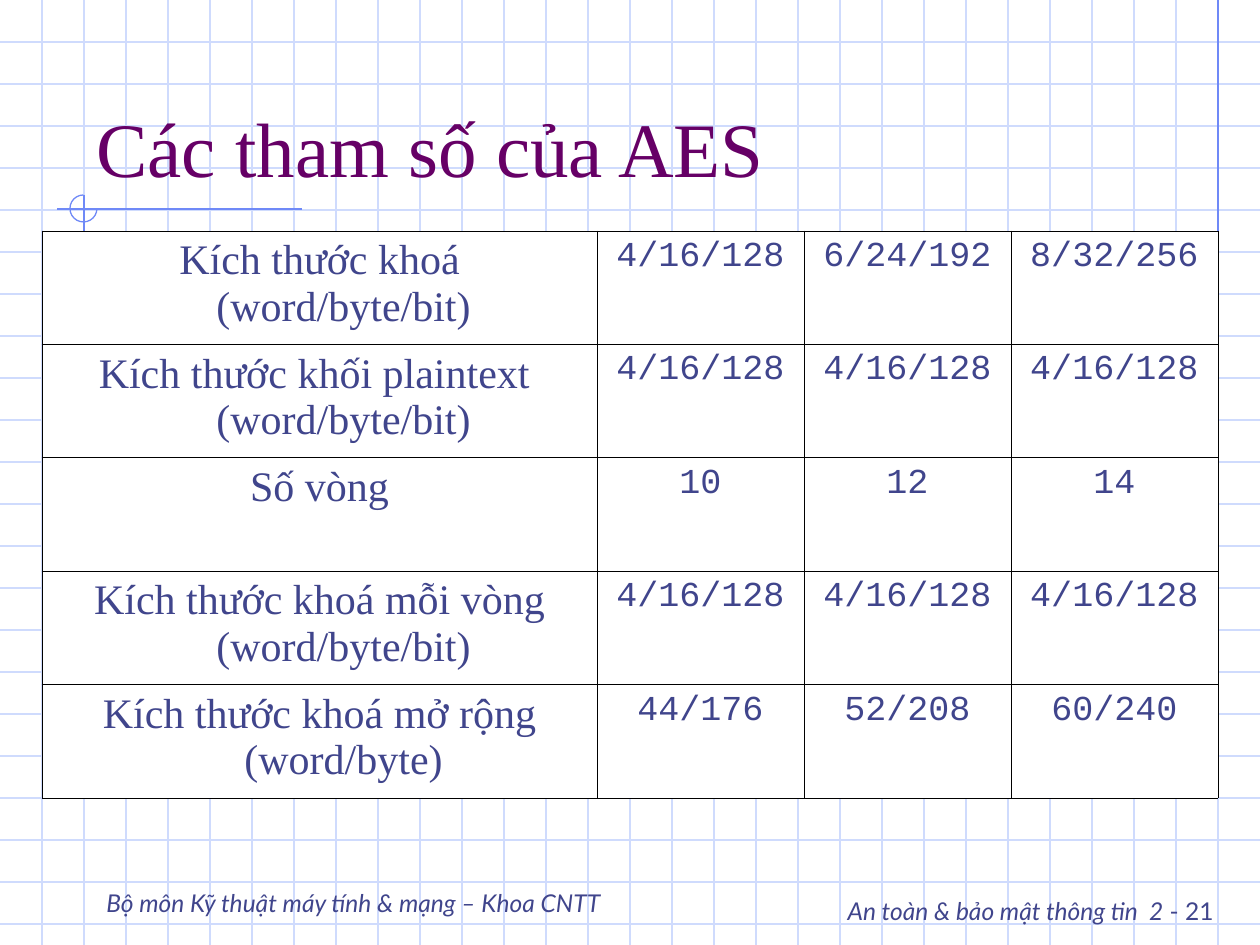
from lxml import etree
from pptx import Presentation
from pptx.dml.color import RGBColor
from pptx.enum.shapes import MSO_CONNECTOR, MSO_SHAPE
from pptx.enum.text import MSO_ANCHOR, MSO_AUTO_SIZE, PP_ALIGN
from pptx.oxml.ns import qn
from pptx.util import Inches, Pt

STRAIGHT = MSO_CONNECTOR.STRAIGHT
ARC = MSO_SHAPE.ARC
TOP, BOTTOM = MSO_ANCHOR.TOP, MSO_ANCHOR.BOTTOM
LEFT, CENTER, RIGHT = PP_ALIGN.LEFT, PP_ALIGN.CENTER, PP_ALIGN.RIGHT
NO_FIT = MSO_AUTO_SIZE.NONE

WHITE = RGBColor(0xFF, 0xFF, 0xFF)
BLACK = RGBColor(0x00, 0x00, 0x00)
GRID = RGBColor(0xCF, 0xDB, 0xFD)
ACCENT = RGBColor(0x6F, 0x89, 0xF7)
INK = RGBColor(0x40, 0x45, 0x8C)
PURPLE = RGBColor(0x66, 0x00, 0x66)

SERIF, MONO, SANS = "Times New Roman", "Courier New", "Lato"
WIDTH, HEIGHT, STEP = 1260, 945, 42
TITLE_ONLY = 5


def px(n):
    """Turn pixels into EMU."""
    return round(n * Inches(1) / 126)


class Slide:
    """Holds the style and the current slide."""

    def __init__(self, prs):
        """Add an empty titled slide with a white background."""
        self.s = prs.slides.add_slide(prs.slide_layouts[TITLE_ONLY])
        self.s.background.fill.solid()
        self.s.background.fill.fore_color.rgb = WHITE

    def group(self):
        """Add an empty group."""
        return self.s.shapes.add_group_shape()

    def stroke(self, sp, color):
        """Give a shape the thin line of the background."""
        sp.line.color.rgb = color
        sp.line.width = Pt(0.74)

    def line(self, group, x1, y1, x2, y2, color):
        """Draw a straight line inside a group."""
        sp = group.shapes.add_connector(STRAIGHT, px(x1), px(y1), px(x2), px(y2))
        self.stroke(sp, color)
        etree.SubElement(sp._element.spPr, qn("a:effectLst"))

    def arc(self, group, x, y, size, start, end):
        """Draw a circular arc between two angles in degrees."""
        sp = group.shapes.add_shape(ARC, px(x), px(y), px(size), px(size))
        sp.adjustments[0] = start * 0.6
        sp.adjustments[1] = end * 0.6
        sp.shadow.inherit = False
        sp.fill.background()
        self.stroke(sp, ACCENT)

    def font(self, r, size, name, color=INK, italic=False):
        """Format one run."""
        r.font.size = Pt(size)
        r.font.name = name
        r.font.color.rgb = color
        r.font.italic = italic

    def title(self, text, x, y, w, h):
        """Fill the title placeholder and bring it to the front."""
        sp = self.s.shapes.title
        sp.left, sp.top, sp.width, sp.height = px(x), px(y), px(w), px(h)
        tf = sp.text_frame
        tf.text = text
        tf.vertical_anchor = BOTTOM
        tf.auto_size = NO_FIT
        p = tf.paragraphs[0]
        p.alignment = LEFT
        self.font(p.runs[0], 44, SERIF, PURPLE)
        sp._element.getparent().append(sp._element)

    def text(self, runs, x, y, w, h, align=LEFT, anchor=TOP):
        """Add a text box from (text, size, italic) runs."""
        tf = self.s.shapes.add_textbox(px(x), px(y), px(w), px(h)).text_frame
        tf.word_wrap = True
        tf.vertical_anchor = anchor
        p = tf.paragraphs[0]
        p.alignment = align
        for text, size, italic in runs:
            r = p.add_run()
            r.text = text
            self.font(r, size, SANS, italic=italic)

    def cell(self, cell, text, size, name):
        """Fill one table cell: hanging indent, white fill, black borders."""
        cell.text = text
        cell.fill.solid()
        cell.fill.fore_color.rgb = WHITE
        p = cell.text_frame.paragraphs[0]
        p.alignment = CENTER
        pPr = p._p.get_or_add_pPr()
        pPr.set("marL", str(px(48)))
        pPr.set("indent", str(-px(48)))
        self.font(p.runs[0], size, name)
        tcPr = cell._tc.get_or_add_tcPr()
        for i, side in enumerate(("lnL", "lnR", "lnT", "lnB")):
            ln = etree.Element(qn("a:" + side), w=str(Pt(0.45)))
            fill = etree.SubElement(ln, qn("a:solidFill"))
            etree.SubElement(fill, qn("a:srgbClr"), val=str(BLACK))
            tcPr.insert(i, ln)

    def table(self, rows, x, y, widths, h):
        """Add a table with equal rows and a serif first column."""
        table = self.s.shapes.add_table(
            len(rows), len(widths), px(x), px(y), px(sum(widths)), px(h)).table
        table.first_row = table.horz_banding = False
        for col, w in zip(table.columns, widths):
            col.width = px(w)
        for i, row in enumerate(rows):
            table.rows[i].height = px(h / len(rows))
            for j, text in enumerate(row):
                size, name = (20, MONO) if j else (24, SERIF)
                self.cell(table.cell(i, j), text, size, name)


BLOCK = "4/16/128"
ROWS = [
    ("Kích thước khoá (word/byte/bit)", BLOCK, "6/24/192", "8/32/256"),
    ("Kích thước khối plaintext  (word/byte/bit)", BLOCK, BLOCK, BLOCK),
    ("Số vòng", "10", "12", "14"),
    ("Kích thước khoá mỗi vòng (word/byte/bit)", BLOCK, BLOCK, BLOCK),
    ("Kích thước khoá mở rộng (word/byte)", "44/176", "52/208", "60/240"),
]


def main():
    """Build the slide and save it."""
    prs = Presentation()
    prs.slide_width, prs.slide_height = px(WIDTH), px(HEIGHT)
    slide = Slide(prs)

    grid = slide.group()
    for y in range(STEP, HEIGHT, STEP):
        slide.line(grid, 0, y, WIDTH, y, GRID)
    for x in range(STEP, WIDTH, STEP):
        slide.line(grid, x, 0, x, HEIGHT, GRID)

    accents = slide.group()
    slide.line(accents, 1218, 0, 1218, 325, ACCENT)
    slide.line(accents, 302, 209, 57, 209, ACCENT)
    slide.line(accents, 84, 195, 84, 515, ACCENT)
    slide.arc(accents, 70, 195, 27, 0, 270)

    slide.text([("An toàn & bảo mật thông tin", 14, True), (" ", 24, False),
                ("2", 14, True), (" - 21", 14, False)],
               788, 872, 438, 63, align=RIGHT)
    slide.text([("Bộ môn Kỹ thuật máy tính & mạng – Khoa CNTT", 14, True)],
               94, 861, 703, 63, anchor=BOTTOM)
    slide.title("Các tham số của AES", 84, 42, 1071, 157)
    slide.table(ROWS, 42, 231, (555, 207, 207, 207), 567)
    prs.save("out.pptx")


main()
